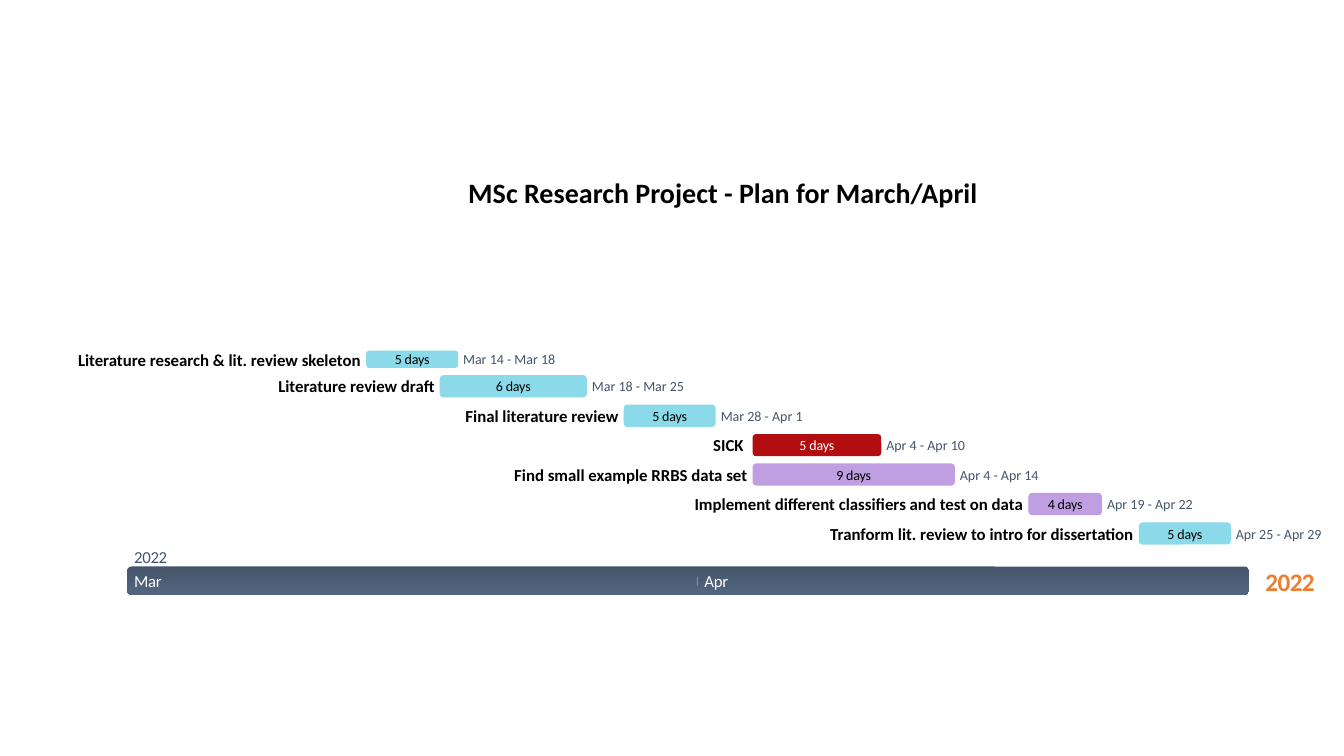
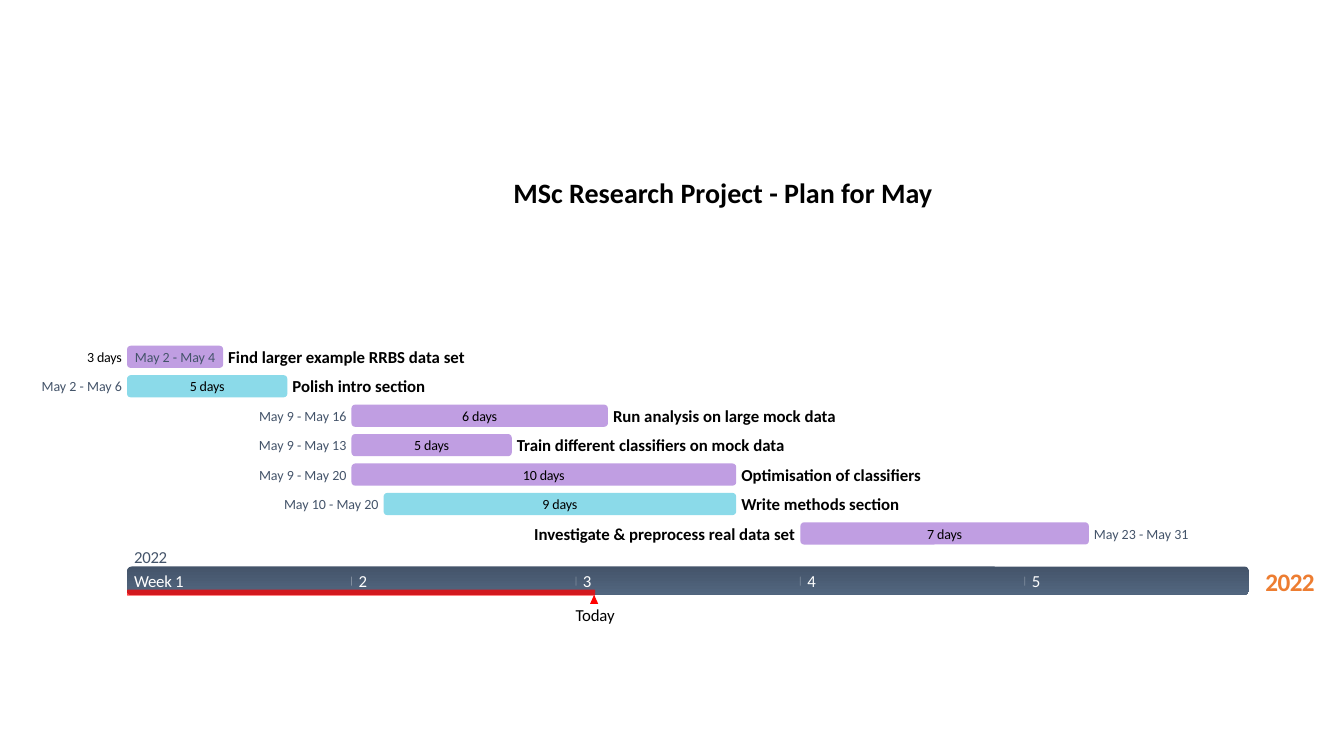
from lxml.etree import SubElement
from pptx import Presentation
from pptx.dml.color import RGBColor
from pptx.enum.shapes import MSO_CONNECTOR, MSO_SHAPE
from pptx.enum.text import MSO_ANCHOR, MSO_AUTO_SIZE, PP_ALIGN
from pptx.oxml.ns import qn
from pptx.util import Inches, Pt

BLACK = RGBColor(0x00, 0x00, 0x00)
WHITE = RGBColor(0xFF, 0xFF, 0xFF)
SLATE = RGBColor(0x44, 0x54, 0x6A)
SLATE_LIGHT = RGBColor(0x52, 0x66, 0x7F)
ORANGE = RGBColor(0xED, 0x7D, 0x31)
AQUA = RGBColor(0x8B, 0xDA, 0xE9)
LILAC = RGBColor(0xC0, 0x9E, 0xE2)
CRIMSON = RGBColor(0xB2, 0x0E, 0x12)
RED = RGBColor(0xFF, 0x00, 0x00)

LEFT, CENTER, RIGHT = PP_ALIGN.LEFT, PP_ALIGN.CENTER, PP_ALIGN.RIGHT

# Text styles: size, colour, bold, letter spacing in hundredths of a point
TITLE = (20, BLACK, True, 0)
NAME = (12, BLACK, True, 0)
DATE = (10, SLATE, False, 0)
DAYS = (10, BLACK, False, -10)
DAYS_LIGHT = (10, WHITE, False, -10)
TICK = (12, WHITE, False, -20)
YEAR = (12, SLATE, False, -20)
YEAR_END = (18, ORANGE, True, -40)
TODAY = (12, BLACK, False, -10)

AXIS_LEFT, AXIS_TOP, AXIS_WIDTH, AXIS_HEIGHT = 1.26, 5.62, 11.13, 0.28
FIRST_BAR_BOTTOM, ROW_STEP = 3.65, 0.292
BAR_HEIGHT = 0.22
LABEL_GAP, LABEL_HEIGHT = 0.05, 0.2

# Tasks: start day, calendar days, bar height, colour, bar text, left label, right label
PLANS = [
    {
        "title": "MSc Research Project - Plan for March/April",
        "days": 61,
        "ticks": [(0, "Mar", 0.28), (31, "Apr", 0.24)],
        "tick_weight": 0.75,
        "today": None,
        "tasks": [
            (13, 5, 0.17, AQUA, ("5 days", DAYS),
             ("Literature research & lit. review skeleton", 2.82, NAME),
             ("Mar 14 - Mar 18", 0.93, DATE)),
            (17, 8, BAR_HEIGHT, AQUA, ("6 days", DAYS),
             ("Literature review draft", 1.56, NAME), ("Mar 18 - Mar 25", 0.93, DATE)),
            (27, 5, BAR_HEIGHT, AQUA, ("5 days", DAYS),
             ("Final literature review", 1.53, NAME), ("Mar 28 - Apr 1", 0.82, DATE)),
            (34, 7, BAR_HEIGHT, CRIMSON, ("5 days", DAYS_LIGHT),
             ("SICK ", 0.35, NAME), ("Apr 4 - Apr 10", 0.79, DATE)),
            (34, 11, BAR_HEIGHT, LILAC, ("9 days", DAYS),
             ("Find small example RRBS data set", 2.32, NAME), ("Apr 4 - Apr 14", 0.79, DATE)),
            (49, 4, BAR_HEIGHT, LILAC, ("4 days", DAYS),
             ("Implement different classifiers and test on data", 3.26, NAME),
             ("Apr 19 - Apr 22", 0.86, DATE)),
            (55, 5, BAR_HEIGHT, AQUA, ("5 days", DAYS),
             ("Tranform lit. review to intro for dissertation", 3.01, NAME),
             ("Apr 25 - Apr 29", 0.86, DATE)),
        ],
    },
    {
        "title": "MSc Research Project - Plan for May",
        "days": 35,
        "ticks": [(0, "Week 1", 0.51), (7, "2", 0.08), (14, "3", 0.08),
                  (21, "4", 0.08), (28, "5", 0.08)],
        "tick_weight": 0.5,
        "today": 14.6,
        "tasks": [
            (0, 3, BAR_HEIGHT, LILAC, ("May 2 - May 4", DATE),
             ("3 days", 0.36, DAYS), ("Find larger example RRBS data set", 2.36, NAME)),
            (0, 5, BAR_HEIGHT, AQUA, ("5 days", DAYS),
             ("May 2 - May 6", 0.81, DATE), ("Polish intro section", 1.32, NAME)),
            (7, 8, BAR_HEIGHT, LILAC, ("6 days", DAYS),
             ("May 9 - May 16", 0.88, DATE), ("Run analysis on large mock data", 2.25, NAME)),
            (7, 5, BAR_HEIGHT, LILAC, ("5 days", DAYS),
             ("May 9 - May 13", 0.86, DATE),
             ("Train different classifiers on mock data", 2.67, NAME)),
            (7, 12, BAR_HEIGHT, LILAC, ("10 days", DAYS),
             ("May 9 - May 20", 0.88, DATE), ("Optimisation of classifiers", 1.79, NAME)),
            (8, 11, BAR_HEIGHT, AQUA, ("9 days", DAYS),
             ("May 10 - May 20", 0.94, DATE), ("Write methods section", 1.58, NAME)),
            (21, 9, BAR_HEIGHT, LILAC, ("7 days", DAYS),
             ("Investigate & preprocess real data set", 2.6, NAME),
             ("May 23 - May 31", 0.94, DATE)),
        ],
    },
]


def write_text(shape, text, style, align):
    size, color, bold, spacing = style
    frame = shape.text_frame
    frame.margin_left = frame.margin_right = frame.margin_top = frame.margin_bottom = 0
    frame.vertical_anchor = MSO_ANCHOR.MIDDLE
    frame.auto_size = MSO_AUTO_SIZE.NONE
    frame.word_wrap = False
    para = frame.paragraphs[0]
    para.alignment = align
    span = para.add_run()
    span.text = text
    span.font.name = "Calibri"
    span.font.size = Pt(size)
    span.font.bold = bold
    span.font.color.rgb = color
    if spacing:
        span._r.get_or_add_rPr().set("spc", str(spacing))


def add_block(page, kind, left, top, width, height, color):
    block = page.shapes.add_shape(kind, Inches(left), Inches(top), Inches(width), Inches(height))
    block.shadow.inherit = False
    block.fill.solid()
    block.fill.fore_color.rgb = color
    block.line.fill.background()
    return block


deck = Presentation()
deck.slide_width, deck.slide_height = Inches(13.33), Inches(7.5)

for plan in PLANS:
    page = deck.slides.add_slide(deck.slide_layouts[5])
    title = page.shapes.title
    title.left, title.top = Inches(4.52), Inches(1.69)
    title.width, title.height = Inches(5.3), Inches(0.44)
    write_text(title, plan["title"], TITLE, CENTER)

    day_width = AXIS_WIDTH / plan["days"]
    axis = add_block(page, MSO_SHAPE.ROUNDED_RECTANGLE,
                     AXIS_LEFT, AXIS_TOP, AXIS_WIDTH, AXIS_HEIGHT, SLATE)
    axis.fill.gradient()
    axis.fill.gradient_angle = 270
    for stop, position, color in zip(axis.fill.gradient_stops, (0, 1), (SLATE, SLATE_LIGHT)):
        stop.position = position
        stop.color.rgb = color

    labels = [
        ("2022", 12.55, 5.61, 0.49, 0.31, YEAR_END, CENTER),
        ("2022", 1.33, 5.42, 0.34, LABEL_HEIGHT, YEAR, LEFT),
    ]

    if plan["today"]:
        elapsed = plan["today"] * day_width
        today = AXIS_LEFT + elapsed
        progress = add_block(page, MSO_SHAPE.ROUNDED_RECTANGLE,
                             AXIS_LEFT, 5.85, elapsed, 0.06, RED)
        tint = next(progress._element.iter(qn("a:srgbClr")))
        SubElement(tint, qn("a:alpha"), val="75000")
        add_block(page, MSO_SHAPE.ISOSCELES_TRIANGLE, today - 0.05, 5.9, 0.08, 0.09, RED)
        labels.append(("Today", today - 0.2, 6, 0.4, LABEL_HEIGHT, TODAY, CENTER))

    for day, text, width in plan["ticks"]:
        x = AXIS_LEFT + day * day_width
        labels.append((text, x + 0.07, 5.66, width, LABEL_HEIGHT, TICK, LEFT))
        if day:
            tick = page.shapes.add_connector(MSO_CONNECTOR.STRAIGHT, Inches(x), Inches(5.72),
                                             Inches(x), Inches(5.81))
            tick.line.color.rgb = WHITE
            tick.line.width = Pt(plan["tick_weight"])
            tint = next(tick._element.iter(qn("a:srgbClr")))
            SubElement(tint, qn("a:alpha"), val="30000")
            SubElement(tick._element.spPr, qn("a:effectLst"))

    for row, task in enumerate(plan["tasks"]):
        start, days, height, color, bar_text, before, after = task
        left = AXIS_LEFT + start * day_width
        width = days * day_width
        top = FIRST_BAR_BOTTOM + row * ROW_STEP - height
        bar = add_block(page, MSO_SHAPE.ROUNDED_RECTANGLE, left, top, width, height, color)
        write_text(bar, *bar_text, CENTER)

        label_top = top + (height - LABEL_HEIGHT) / 2
        text, label_width, style = before
        labels.append((text, left - LABEL_GAP - label_width, label_top,
                       label_width, LABEL_HEIGHT, style, RIGHT))
        text, label_width, style = after
        labels.append((text, left + width + LABEL_GAP, label_top,
                       label_width, LABEL_HEIGHT, style, LEFT))

    for text, left, top, width, height, style, align in labels:
        box = page.shapes.add_textbox(Inches(left), Inches(top), Inches(width), Inches(height))
        write_text(box, text, style, align)

deck.save("out.pptx")
